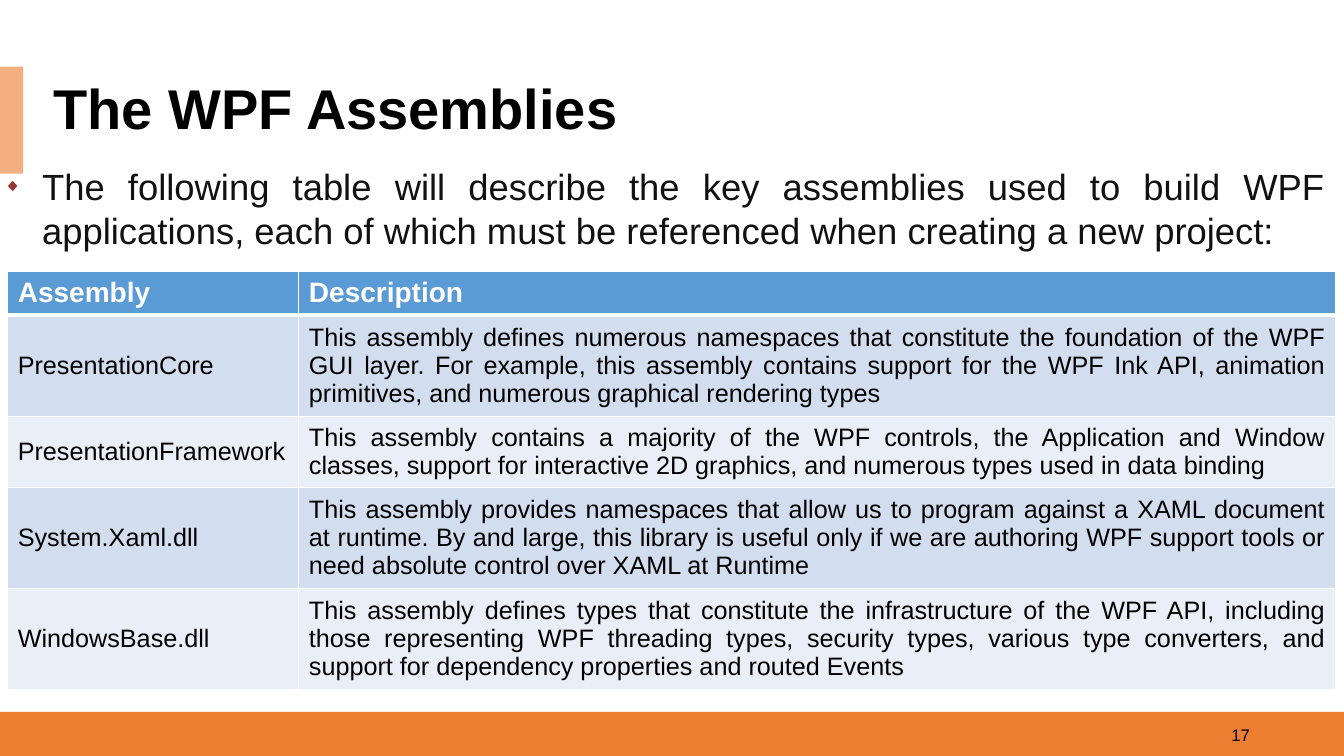
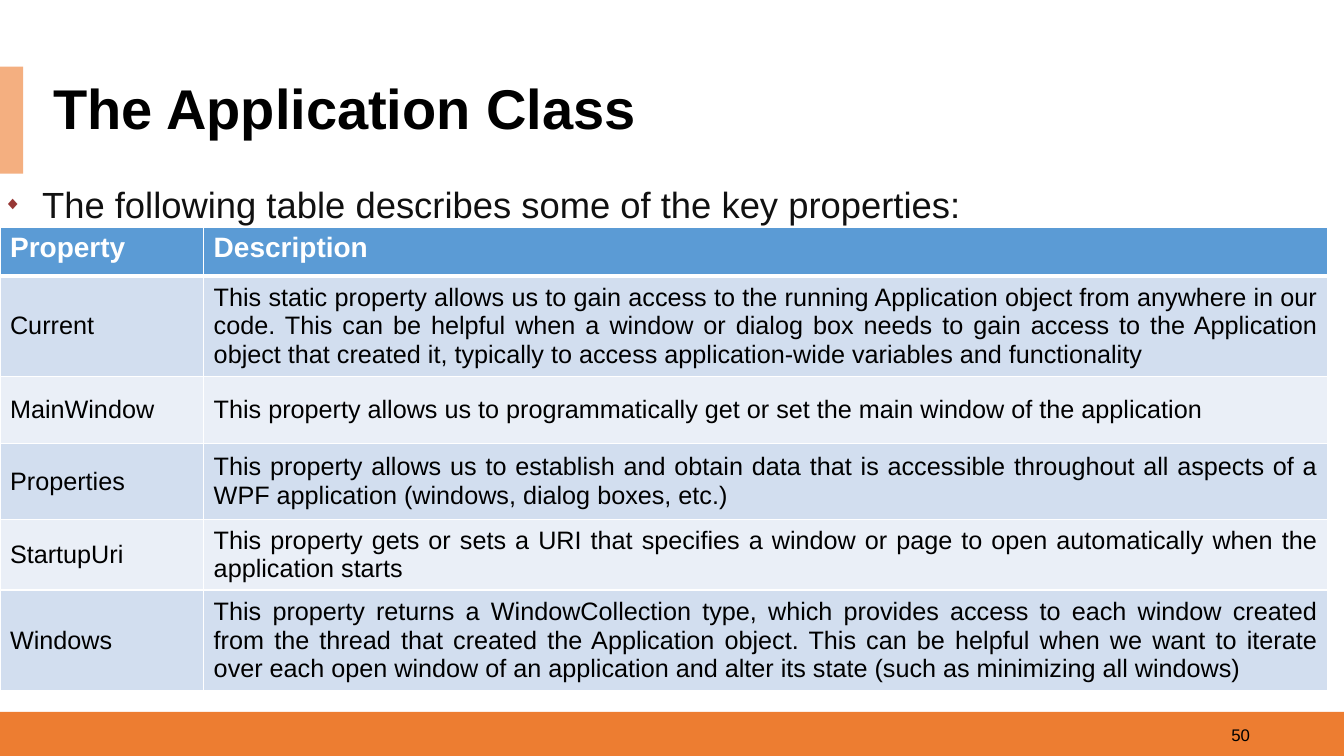
from lxml import etree
from pptx import Presentation
from pptx.dml.color import RGBColor
from pptx.enum import shapes, text as txt
from pptx.oxml import ns
from pptx.util import Pt

FONT = "Arial"
BLACK = RGBColor(0x00, 0x00, 0x00)
WHITE = RGBColor(0xFF, 0xFF, 0xFF)
INK = RGBColor(0x11, 0x11, 0x11)
ORANGE = RGBColor(0xED, 0x7D, 0x31)
PEACH = RGBColor(0xF4, 0xAF, 0x80)
MAROON = RGBColor(0x97, 0x37, 0x35)
HEADER_BLUE = RGBColor(0x5B, 0x9B, 0xD5)
ROW_FILLS = (RGBColor(0xD2, 0xDE, 0xEF), RGBColor(0xEA, 0xEF, 0xF7))

SLIDE_W, SLIDE_H = 960, 540
FOOTER_H = 31.5
LEFT, JUSTIFY, RIGHT = txt.PP_ALIGN.LEFT, txt.PP_ALIGN.JUSTIFY, txt.PP_ALIGN.RIGHT
TOP, MIDDLE = txt.MSO_ANCHOR.TOP, txt.MSO_ANCHOR.MIDDLE

ASSEMBLIES = [
    ("Assembly", "Description"),
    ("PresentationCore",
     "This assembly defines numerous namespaces that constitute the foundation of the WPF GUI "
     "layer. For example, this assembly contains support for the WPF Ink API, animation "
     "primitives, and numerous graphical rendering types"),
    ("PresentationFramework",
     "This assembly contains a majority of the WPF controls, the Application and Window classes, "
     "support for interactive 2D graphics, and numerous types used in data binding"),
    ("System.Xaml.dll",
     "This assembly provides namespaces that allow us to program against a XAML document at "
     "runtime. By and large, this library is useful only if we are authoring WPF support tools "
     "or need absolute control over XAML at Runtime"),
    ("WindowsBase.dll",
     "This assembly defines types that constitute the infrastructure of the WPF API, including "
     "those representing WPF threading types, security types, various type converters, and "
     "support for dependency properties and routed Events"),
]
PROPERTIES = [
    ("Property", "Description"),
    ("Current",
     "This static property allows us to gain access to the running Application object from "
     "anywhere in our code. This can be helpful when a window or dialog box needs to gain access "
     "to the Application object that created it, typically to access application-wide variables "
     "and functionality"),
    ("MainWindow",
     "This property allows us to programmatically get or set the main window of the application"),
    ("Properties",
     "This property allows us to establish and obtain data that is accessible throughout all "
     "aspects of a WPF application (windows, dialog boxes, etc.)"),
    ("StartupUri",
     "This property gets or sets a URI that specifies a window or page to open automatically "
     "when the application starts"),
    ("Windows",
     "This property returns a WindowCollection type, which provides access to each window "
     "created from the thread that created the Application object. This can be helpful when we "
     "want to iterate over each open window of an application and alter its state (such as "
     "minimizing all windows)"),
]


def points(*lengths):
    return [Pt(length) for length in lengths]


def write(frame, words, size, color=BLACK, bold=False, align=LEFT, anchor=TOP,
          line=None, before=None, after=None):
    """Fill a text frame with one formatted paragraph and return it."""
    frame.word_wrap = True
    frame.vertical_anchor = anchor
    paragraph = frame.paragraphs[0]
    paragraph.alignment = align
    if line:
        paragraph.line_spacing = line
    if before is not None:
        paragraph.space_before = Pt(before)
    if after is not None:
        paragraph.space_after = Pt(after)
    run = paragraph.add_run()
    run.text = words
    run.font.name, run.font.size, run.font.bold = FONT, Pt(size), bold
    run.font.color.rgb = color
    return paragraph


def add_bullet(paragraph, indent):
    props = paragraph._p.get_or_add_pPr()
    props.set("marL", str(Pt(indent)))
    props.set("indent", str(-Pt(indent)))
    color = etree.SubElement(props, ns.qn("a:buClr"))
    etree.SubElement(color, ns.qn("a:srgbClr"), val=str(MAROON))
    etree.SubElement(props, ns.qn("a:buSzPct"), val="50000")
    etree.SubElement(props, ns.qn("a:buFont"), typeface=FONT)
    etree.SubElement(props, ns.qn("a:buChar"), char="◆")


def set_borders(cell, top, bottom):
    """Draw white borders; the side borders are 1 pt wide."""
    props = cell._tc.get_or_add_tcPr()
    widths = {"a:lnL": 1, "a:lnR": 1, "a:lnT": top, "a:lnB": bottom}
    for place, (tag, width) in enumerate(widths.items()):
        border = etree.Element(ns.qn(tag), w=str(Pt(width)))
        fill = etree.SubElement(border, ns.qn("a:solidFill"))
        etree.SubElement(fill, ns.qn("a:srgbClr"), val=str(WHITE))
        props.insert(place, border)


def add_band(slide, box, color):
    band = slide.shapes.add_shape(shapes.MSO_SHAPE.RECTANGLE, *points(*box))
    band.shadow.inherit = False
    band.fill.solid()
    band.fill.fore_color.rgb = color
    band.line.fill.background()


def add_frame(slide, number):
    """Footer band, title accent and page number."""
    footer_top = SLIDE_H - FOOTER_H
    add_band(slide, (0, footer_top, SLIDE_W, FOOTER_H), ORANGE)
    add_band(slide, (0, 47.5, 16.5, 76.5), PEACH)
    page = slide.shapes.add_textbox(*points(684, footer_top + 2, 216, 29))
    write(page.text_frame, number, 12, align=RIGHT, anchor=MIDDLE)


def add_title(slide, words, box):
    title = slide.shapes.title
    title.left, title.top, title.width, title.height = points(*box)
    title.fill.solid()
    title.fill.fore_color.rgb = WHITE
    title.text_frame.auto_size = txt.MSO_AUTO_SIZE.NONE
    write(title.text_frame, words, 40, bold=True, anchor=MIDDLE, line=0.9)


def add_intro(slide, words, box, **spacing):
    intro = slide.shapes.add_textbox(*points(*box))
    intro.text_frame.auto_size = txt.MSO_AUTO_SIZE.SHAPE_TO_FIT_TEXT
    paragraph = write(intro.text_frame, words, 26, INK, align=JUSTIFY, **spacing)
    add_bullet(paragraph, 27.5)


def add_reference_table(slide, entries, left, top, widths, heights):
    """Two-column table of names and descriptions with a header row."""
    box = points(left, top, sum(widths), sum(heights))
    table = slide.shapes.add_table(len(entries), len(widths), *box).table
    for column, width in zip(table.columns, widths):
        column.width = Pt(width)
    for r, (entry, height) in enumerate(zip(entries, heights)):
        table.rows[r].height = Pt(height)
        for c, words in enumerate(entry):
            cell = table.cell(r, c)
            cell.fill.solid()
            if r == 0:
                cell.fill.fore_color.rgb = HEADER_BLUE
                write(cell.text_frame, words, 20, WHITE, bold=True)
            else:
                cell.fill.fore_color.rgb = ROW_FILLS[(r - 1) % 2]
                write(cell.text_frame, words, 18, align=JUSTIFY if c else LEFT)
                cell.vertical_anchor = MIDDLE
            set_borders(cell, top=3 if r == 1 else 1, bottom=3 if r == 0 else 1)


def add_table_slide(deck, number, title, title_width, intro, table):
    slide = deck.slides.add_slide(deck.slide_layouts[5])
    add_frame(slide, number)
    add_title(slide, title, (31, 57, title_width, 45))
    add_intro(slide, **intro)
    add_reference_table(slide, **table)


def main():
    deck = Presentation()
    deck.slide_width, deck.slide_height = points(SLIDE_W, SLIDE_H)
    add_table_slide(
        deck, "17", "The WPF Assemblies", 929,
        intro=dict(words="The following table will describe the key assemblies used to build WPF "
                         "applications, each of which must be referenced when creating a new "
                         "project:",
                   box=(-4.5, 114, 959, 70.5), before=6, after=6),
        table=dict(entries=ASSEMBLIES, left=5.5, top=194, widths=(208, 740.5),
                   heights=(31, 71.5, 51, 72, 72)))
    add_table_slide(
        deck, "50", "The Application Class", 878,
        intro=dict(words="The following table describes some of the key properties:",
                   box=(-4.5, 111, 720, 49), line=1.5, before=10),
        table=dict(entries=PROPERTIES, left=0, top=162.5, widths=(145.5, 803),
                   heights=(34.5, 67.5, 47.5, 54.5, 47.5, 67.5)))
    deck.save("out.pptx")


if __name__ == "__main__":
    main()
